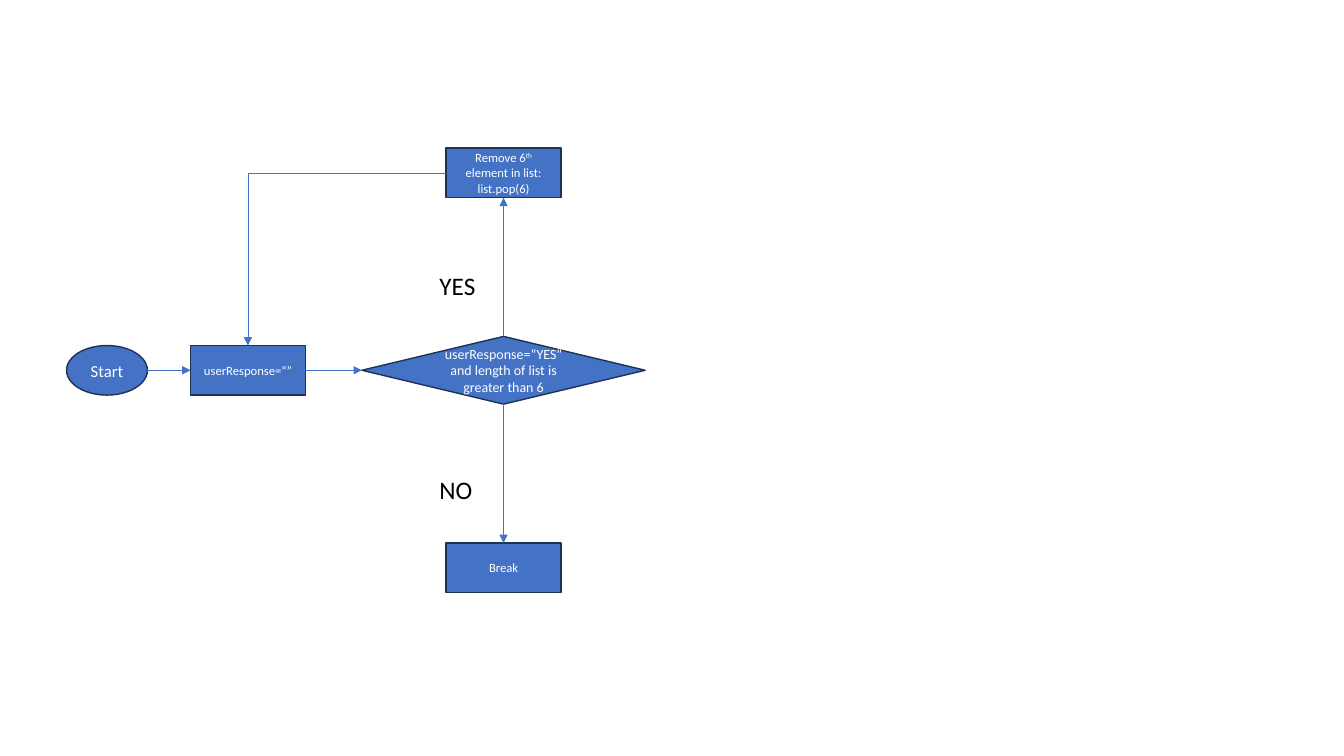
from lxml import etree
from pptx import Presentation
from pptx.dml.color import RGBColor
from pptx.enum.shapes import MSO_CONNECTOR as Link, MSO_SHAPE as Shape
from pptx.enum.text import MSO_ANCHOR as Anchor, PP_ALIGN as Align
from pptx.oxml.ns import qn
from pptx.util import Pt

COLORS = {"fill": "4472C4", "outline": "1E3256", "light": "FFFFFF", "dark": "000000"}
RGB = {name: RGBColor.from_string(value) for name, value in COLORS.items()}
FONT = "Calibri"
TOP, LEFT, BOTTOM, RIGHT = range(4)

# Centres of the three rows and three columns of the flowchart
MIDDLE_ROW, ROW_STEP = 264.5, 141
UPPER_ROW, LOWER_ROW = MIDDLE_ROW - ROW_STEP, MIDDLE_ROW + ROW_STEP
START_COL, RESPONSE_COL, DECISION_COL = 76.4, 177.1, 359.7
BOX = (82, 35.4)

prs = Presentation()
prs.slide_width, prs.slide_height = Pt(960), Pt(540)
slide = prs.slides.add_slide(prs.slide_layouts[6])


def add_text(paragraph, text, size, color):
    run = paragraph.add_run()
    run.text = text
    for key, value in {"name": FONT, "size": Pt(size)}.items():
        setattr(run.font, key, value)
    run.font.color.rgb = RGB[color]
    return run


def side_point(step, side):
    """Return the middle of one side of a step."""
    x, y = step.left + step.width // 2, step.top + step.height // 2
    return {
        TOP: (x, step.top),
        LEFT: (step.left, y),
        BOTTOM: (x, step.top + step.height),
        RIGHT: (step.left + step.width, y),
    }[side]


# Steps: kind, column, row, size, font size, text pieces (every second one superscript)
flow = {
    "start": (Shape.OVAL, START_COL, MIDDLE_ROW, (57.8, 35.4), 12, ["Start"]),
    "response": (Shape.RECTANGLE, RESPONSE_COL, MIDDLE_ROW, BOX, 9, ["userResponse=“”"]),
    "decision": (Shape.DIAMOND, DECISION_COL, MIDDLE_ROW, (202.4, 48.4), 10,
                 ["userResponse=“YES” and length of list is greater than 6"]),
    "remove": (Shape.RECTANGLE, DECISION_COL, UPPER_ROW, BOX, 9,
               ["Remove 6", "th", " element in list: list.pop(6)"]),
    "break": (Shape.RECTANGLE, DECISION_COL, LOWER_ROW, BOX, 9, ["Break"]),
}
steps = {}
for name, (kind, x, y, (width, height), size, pieces) in flow.items():
    step = slide.shapes.add_shape(
        kind, Pt(x - width / 2), Pt(y - height / 2), Pt(width), Pt(height))
    step.shadow.inherit = False
    step.fill.solid()
    step.fill.fore_color.rgb = RGB["fill"]
    step.line.color.rgb = RGB["outline"]
    step.line.width = Pt(1)
    for key, value in {"word_wrap": True, "vertical_anchor": Anchor.MIDDLE}.items():
        setattr(step.text_frame, key, value)
    paragraph = step.text_frame.paragraphs[0]
    paragraph.alignment = Align.CENTER
    for index, piece in enumerate(pieces):
        run = add_text(paragraph, piece, size, "light")
        if index % 2:
            run.font._element.set("baseline", "30000")
    steps[name] = step

arrows = [
    ("start", RIGHT, "response", LEFT),
    ("response", RIGHT, "decision", LEFT),
    ("decision", BOTTOM, "break", TOP),
    ("decision", TOP, "remove", BOTTOM),
    ("remove", LEFT, "response", TOP),
]
for source, source_side, target, target_side in arrows:
    bent = source_side % 2 != target_side % 2
    arrow = slide.shapes.add_connector(
        Link.ELBOW if bent else Link.STRAIGHT,
        *side_point(steps[source], source_side), *side_point(steps[target], target_side))
    if source != "start":  # an oval numbers its connection sites differently
        arrow.begin_connect(steps[source], source_side)
    arrow.end_connect(steps[target], target_side)
    arrow.line.color.rgb = RGB["fill"]
    arrow.line.width = Pt(0.5)
    etree.SubElement(arrow.line._get_or_add_ln(), qn("a:tailEnd"), type="triangle")
    properties = arrow._element.spPr
    etree.SubElement(properties, qn("a:effectLst"))
    if bent:
        properties.find(qn("a:prstGeom")).set("prst", "bentConnector2")

for answer, top, width in [("YES", 189.2, 65.5), ("NO", 335, 57.6)]:
    label = slide.shapes.add_textbox(Pt(306.8), Pt(top), Pt(width), Pt(29))
    label.text_frame.word_wrap = True
    add_text(label.text_frame.paragraphs[0], answer, 18, "dark")

prs.save("out.pptx")
